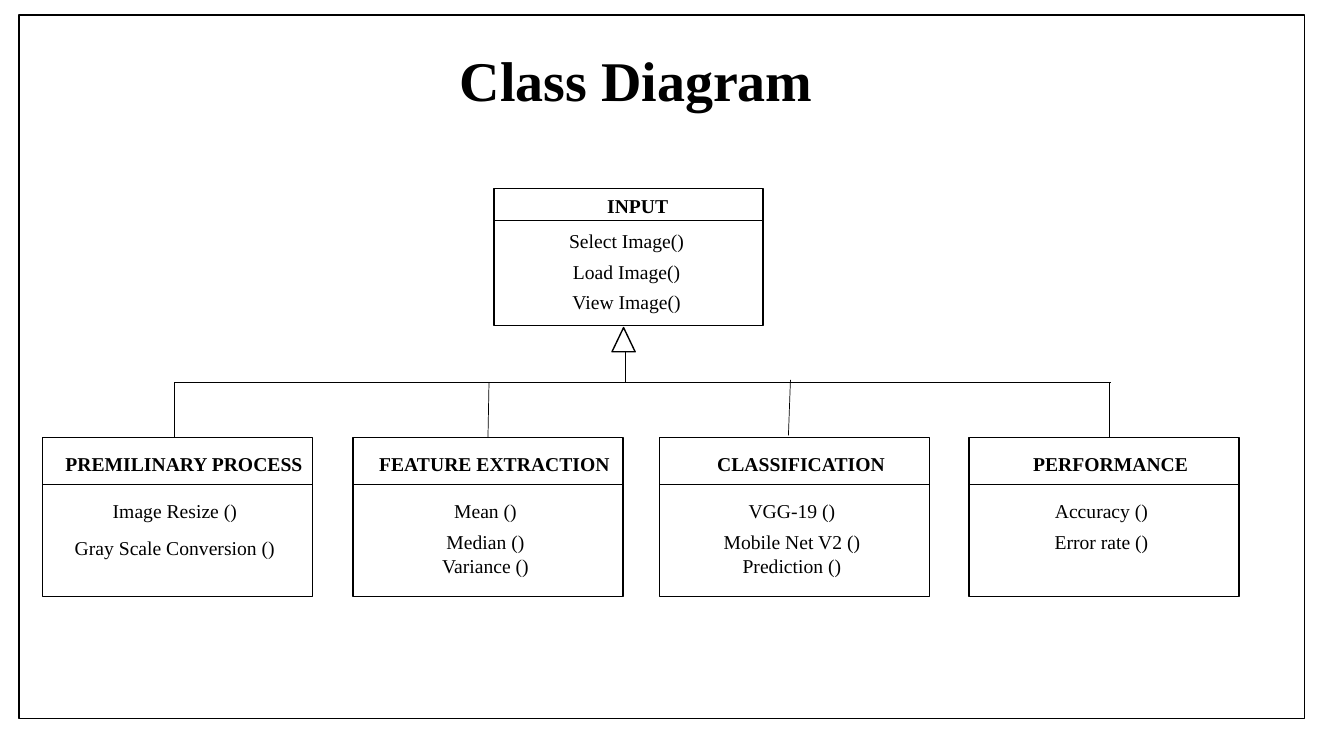
from dataclasses import dataclass

from lxml import etree
from pptx import Presentation
from pptx.dml.color import RGBColor
from pptx.enum import shapes, text
from pptx.oxml import ns
from pptx.util import Inches, Pt


@dataclass(frozen=True)
class Theme:
    font: str = "Times New Roman"
    ink: RGBColor = RGBColor(0, 0, 0)
    paper: RGBColor = RGBColor(255, 255, 255)
    title: int = 40
    label: int = 14
    outline: float = 1
    rule: float = 0.5


T = Theme()

# left edge, methods as (offset from box top, lines)
SUBCLASSES = {
    "PREMILINARY PROCESS": (0.42, [(0.56, ["Image Resize ()"]),
                                   (0.93, ["Gray Scale Conversion ()"])]),
    "FEATURE EXTRACTION": (3.5, [(0.56, ["Mean ()"]),
                                 (0.87, ["Median ()", "Variance ()"])]),
    "CLASSIFICATION": (6.54, [(0.56, ["VGG-19 ()"]),
                              (0.87, ["Mobile Net V2 ()", "Prediction ()"])]),
    "PERFORMANCE": (9.61, [(0.56, ["Accuracy ()"]),
                           (0.87, ["Error rate ()"])]),
}
INPUT_METHODS = [(0.35, ["Select Image()"]), (0.66, ["Load Image()"]),
                 (0.96, ["View Image()"])]
# x and y at the branch, then x and y at the class box
STEMS = [(1.73, 3.79, 1.73, 4.34), (4.85, 3.79, 4.84, 4.34),
         (7.84, 3.77, 7.82, 4.32), (11, 3.79, 11, 4.34)]


def write(tf, lines, size, bold=False):
    tf.word_wrap = True
    tf.vertical_anchor = text.MSO_ANCHOR.TOP
    for i, line in enumerate(lines):
        p = tf.paragraphs[0] if i == 0 else tf.add_paragraph()
        p.alignment = text.PP_ALIGN.CENTER
        r = p.add_run()
        r.text = line
        style = {"name": T.font, "size": Pt(size), "bold": bold}
        for key, value in style.items():
            setattr(r.font, key, value)
        r.font.color.rgb = T.ink


def add_label(s, x, y, w, lines, bold=False):
    h = 0.11 + 0.23 * len(lines)
    tb = s.shapes.add_textbox(*map(Inches, (x, y, w, h)))
    write(tb.text_frame, lines, T.label, bold)


def add_outline(s, kind, box, filled=True):
    sp = s.shapes.add_shape(kind, *map(Inches, box))
    sp.shadow.inherit = False
    if filled:
        sp.fill.solid()
        sp.fill.fore_color.rgb = T.paper
    else:
        sp.fill.background()
    sp.line.color.rgb = T.ink
    sp.line.width = Pt(T.outline)


def add_rule(s, *ends):
    c = s.shapes.add_connector(shapes.MSO_CONNECTOR.STRAIGHT,
                               *map(Inches, ends))
    c.line.color.rgb = T.ink
    c.line.width = Pt(T.rule)
    etree.SubElement(c._element.spPr, ns.qn("a:effectLst"))


def add_title(s, box):
    title = s.shapes.title
    for key, value in zip(("left", "top", "width", "height"), box):
        setattr(title, key, Inches(value))
    write(title.text_frame, ["Class Diagram"], T.title, bold=True)


def add_class(s, box, name, methods, header, name_box):
    """Draw a class; name_box is its dx, dy and width inside the box."""
    x, y, w, h = box
    add_outline(s, shapes.MSO_SHAPE.RECTANGLE, box)
    add_rule(s, x, y + header, x + w, y + header)
    dx, dy, name_w = name_box
    add_label(s, x + dx, y + dy, name_w, [name], bold=True)
    for offset, lines in methods:
        add_label(s, x + 0.14, y + offset, 2.35, lines)


def add_inheritance(s, x, top, branch):
    """Join the stems on a branch line and point it up at the parent."""
    for stem in STEMS:
        add_rule(s, *stem)
    add_rule(s, STEMS[0][0], branch, STEMS[-1][0] + 0.02, branch)
    add_outline(s, shapes.MSO_SHAPE.ISOSCELES_TRIANGLE,
                (x - 0.13, top, 0.23, 0.24))
    add_rule(s, x, top + 0.23, x, branch)


def main():
    prs = Presentation()
    prs.slide_width, prs.slide_height = Inches(13.33), Inches(7.5)
    s = prs.slides.add_slide(prs.slide_layouts[5])
    add_title(s, (0.79, 0.4, 11.04, 0.77))
    add_outline(s, shapes.MSO_SHAPE.RECTANGLE, (0.19, 0.15, 12.75, 6.98),
                filled=False)
    add_class(s, (4.9, 1.87, 2.67, 1.36), "INPUT", INPUT_METHODS,
              header=0.32, name_box=(0.25, 0, 2.35))
    for name, (left, methods) in SUBCLASSES.items():
        add_class(s, (left, 4.34, 2.68, 1.58), name, methods,
                  header=0.47, name_box=(0.13, 0.09, 2.55))
    add_inheritance(s, 6.2, top=3.25, branch=3.79)
    prs.save("out.pptx")


if __name__ == "__main__":
    main()
